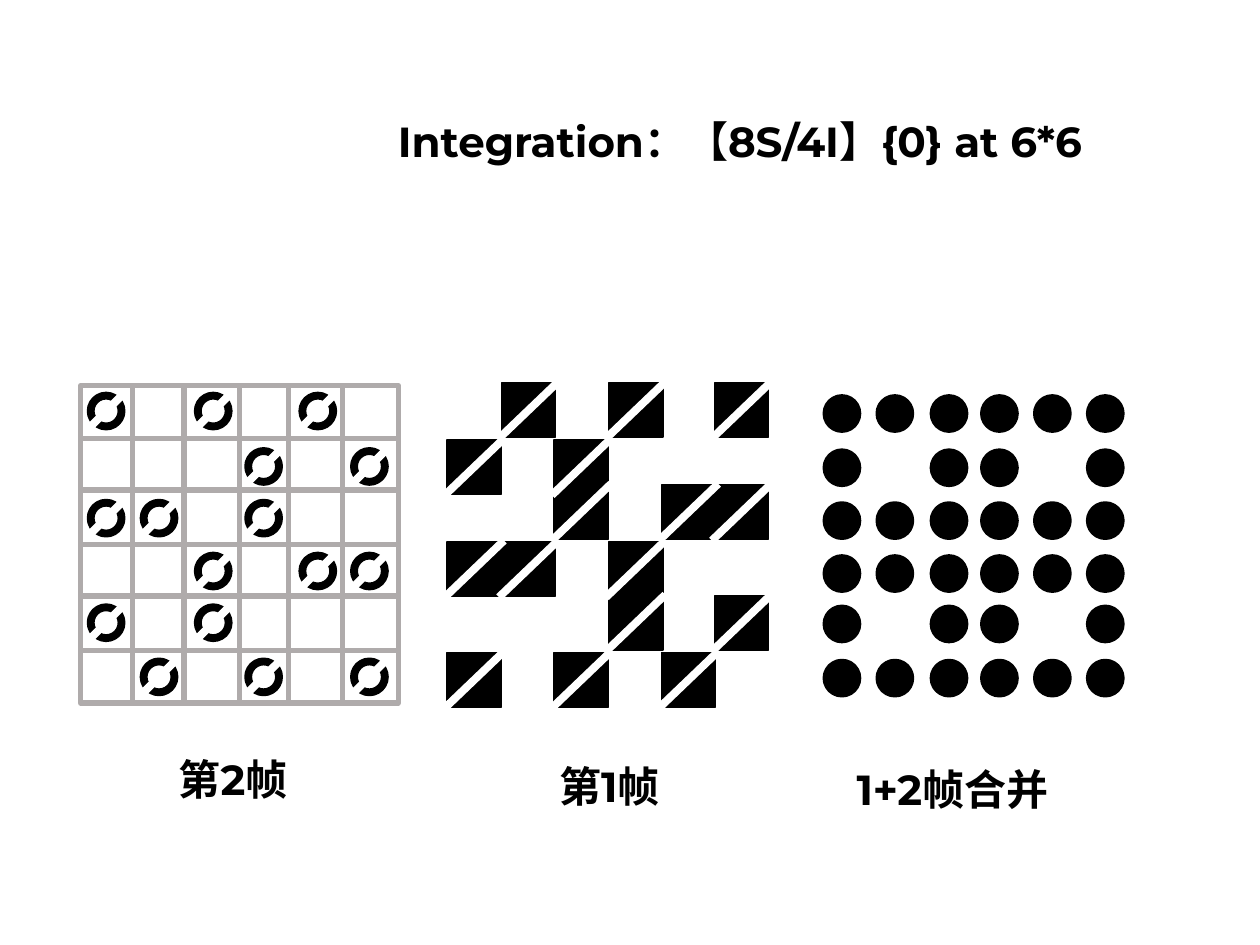
"""Build a slide that merges two 6 by 6 frames into one dot pattern."""
from dataclasses import dataclass
from typing import Any, Iterator

import lxml.etree
import pptx
import pptx.dml.color
import pptx.enum.shapes
import pptx.enum.text
import pptx.oxml.ns
import pptx.util

BLACK = pptx.dml.color.RGBColor(0x00, 0x00, 0x00)
WHITE = pptx.dml.color.RGBColor(0xFF, 0xFF, 0xFF)
GREY = pptx.dml.color.RGBColor(0xAF, 0xAB, 0xAB)
FONT = "Montserrat"
SLIDE_WIDTH = pptx.util.Inches(10)
SLIDE_HEIGHT = pptx.util.Inches(7.5)
GRID_COLUMNS = 1000
MODULE = SLIDE_WIDTH / GRID_COLUMNS
RECTANGLE = pptx.enum.shapes.MSO_SHAPE.RECTANGLE
OVAL = pptx.enum.shapes.MSO_SHAPE.OVAL
STRAIGHT = pptx.enum.shapes.MSO_CONNECTOR.STRAIGHT


@dataclass(frozen=True)
class Pattern:
    """Column and row positions, the mark size, and marked cells by row."""

    columns: tuple[int, ...]
    rows: tuple[int, ...]
    size: float
    marks: tuple[str, ...]

    def cells(self) -> Iterator[tuple[int, int]]:
        """Yield the top left corner of each marked cell."""
        for top, row_marks in zip(self.rows, self.marks):
            for left, mark in zip(self.columns, row_marks):
                if mark == "x":
                    yield left, top


@dataclass(frozen=True)
class Label:
    """A bold text and its box in grid columns and rows."""

    text: str
    left: int
    top: int
    width: int
    height: int = 50


@dataclass(frozen=True)
class Frame:
    """A square outline with its inner column and row rules."""

    left: int
    top: int
    size: int
    columns: tuple[int, ...]
    rows: tuple[int, ...]


FRAME = Frame(64, 306, 252, (105, 146, 190, 229, 272), (348, 389, 432, 473, 516))
RINGS = Pattern(
    (72, 114, 157, 197, 240, 281), (314, 358, 399, 441, 482, 525), 24.5,
    ("x.x.x.", "...x.x", "xx.x..", "..x.xx", "x.x...", ".x.x.x"),
)
DOTS = Pattern(
    (656, 698, 741, 781, 823, 865), (316, 359, 401, 443, 483, 526), 24.5,
    ("xxxxxx", "x.xx.x", "xxxxxx", "xxxxxx", "x.xx.x", "xxxxxx"),
)
SQUARES = Pattern(
    (355, 398, 440, 483, 525, 567), (304, 349, 385, 430, 473, 518), 43,
    (".x.x.x", "x.x...", "..x.xx", "xx.x..", "...x.x", "x.x.x."),
)
LABELS = (
    Label("第2帧", 132, 593, 120),
    Label("第1帧", 434, 599, 120),
    Label("1+2帧合并", 670, 601, 223),
    Label("Integration：【8S/4I】{0} at 6*6", 306, 87, 659),
)


def span(modules: float) -> int:
    """Convert grid modules to a length."""
    return pptx.util.Emu(round(modules * MODULE))


def add_mark(
    shapes: Any,
    preset: Any,
    left: float,
    top: float,
    size: float,
    fill: pptx.dml.color.RGBColor | None,
    line: pptx.dml.color.RGBColor,
    weight: float,
) -> Any:
    """Add a square or round mark."""
    shape = shapes.add_shape(preset, span(left), span(top), span(size), span(size))
    shape.shadow.inherit = False
    if fill is None:
        shape.fill.background()
    else:
        shape.fill.solid()
        shape.fill.fore_color.rgb = fill
    shape.line.color.rgb = line
    shape.line.width = pptx.util.Pt(weight)
    return shape


def add_line(
    shapes: Any,
    start: tuple[float, float],
    end: tuple[float, float],
    color: pptx.dml.color.RGBColor,
    weight: float,
) -> Any:
    """Add a straight line without a shadow."""
    connector = shapes.add_connector(STRAIGHT, *map(span, start + end))
    connector.line.color.rgb = color
    connector.line.width = pptx.util.Pt(weight)
    properties = connector._element.spPr
    lxml.etree.SubElement(properties, pptx.oxml.ns.qn("a:effectLst"))
    return connector


def draw_frame(shapes: Any, frame: Frame) -> None:
    """Draw the outline and its rules, joining the middle rules to the outline."""
    outline = add_mark(shapes, RECTANGLE, frame.left, frame.top, frame.size, WHITE, GREY, 3)
    right, bottom = frame.left + frame.size, frame.top + frame.size
    center_x, center_y = frame.left + frame.size / 2, frame.top + frame.size / 2
    for column in frame.columns:
        rule = add_line(shapes, (column, frame.top), (column, bottom), GREY, 3)
        if column == center_x:
            rule.begin_connect(outline, 0)
            rule.end_connect(outline, 2)
    for row in frame.rows:
        rule = add_line(shapes, (right, row), (frame.left, row), GREY, 3)
        if row == center_y:
            rule.begin_connect(outline, 3)
            rule.end_connect(outline, 1)


def draw_rings(shapes: Any, pattern: Pattern) -> None:
    """Draw rings that are each cut by a diagonal, grouped in pairs."""
    size = pattern.size
    for left, top in pattern.cells():
        ring = shapes.add_group_shape().shapes
        add_mark(ring, OVAL, left, top, size, None, BLACK, 4.5)
        add_line(ring, (left + size, top), (left, top + size), WHITE, 4.5)


def draw_dots(shapes: Any, pattern: Pattern) -> None:
    """Draw solid dots."""
    for left, top in pattern.cells():
        add_mark(shapes, OVAL, left, top, pattern.size, BLACK, BLACK, 4.5)


def draw_squares(shapes: Any, pattern: Pattern) -> None:
    """Draw one group of squares, then the diagonals that cut them."""
    group = shapes.add_group_shape().shapes
    size = pattern.size
    for left, top in pattern.cells():
        add_mark(group, RECTANGLE, left, top, size, BLACK, BLACK, 1)
    for left, top in pattern.cells():
        add_line(shapes, (left + size + 2, top - 1), (left - 2, top + size + 1), WHITE, 4.5)


def draw_label(shapes: Any, label: Label) -> None:
    """Draw a bold text box that grows with its text."""
    bounds = (label.left, label.top, label.width, label.height)
    text_frame = shapes.add_textbox(*map(span, bounds)).text_frame
    text_frame.word_wrap = True
    text_frame.auto_size = pptx.enum.text.MSO_AUTO_SIZE.SHAPE_TO_FIT_TEXT
    text_frame.text = label.text
    font = text_frame.paragraphs[0].runs[0].font
    font.name = FONT
    font.size = pptx.util.Pt(24)
    font.bold = True
    font.color.rgb = BLACK


def main() -> None:
    """Build and save the presentation."""
    presentation = pptx.Presentation()
    presentation.slide_width = SLIDE_WIDTH
    presentation.slide_height = SLIDE_HEIGHT
    slide = presentation.slides.add_slide(presentation.slide_layouts[6])
    draw_frame(slide.shapes, FRAME)
    draw_rings(slide.shapes, RINGS)
    draw_dots(slide.shapes, DOTS)
    for label in LABELS:
        draw_label(slide.shapes, label)
    draw_squares(slide.shapes, SQUARES)
    presentation.save("out.pptx")


if __name__ == "__main__":
    main()
